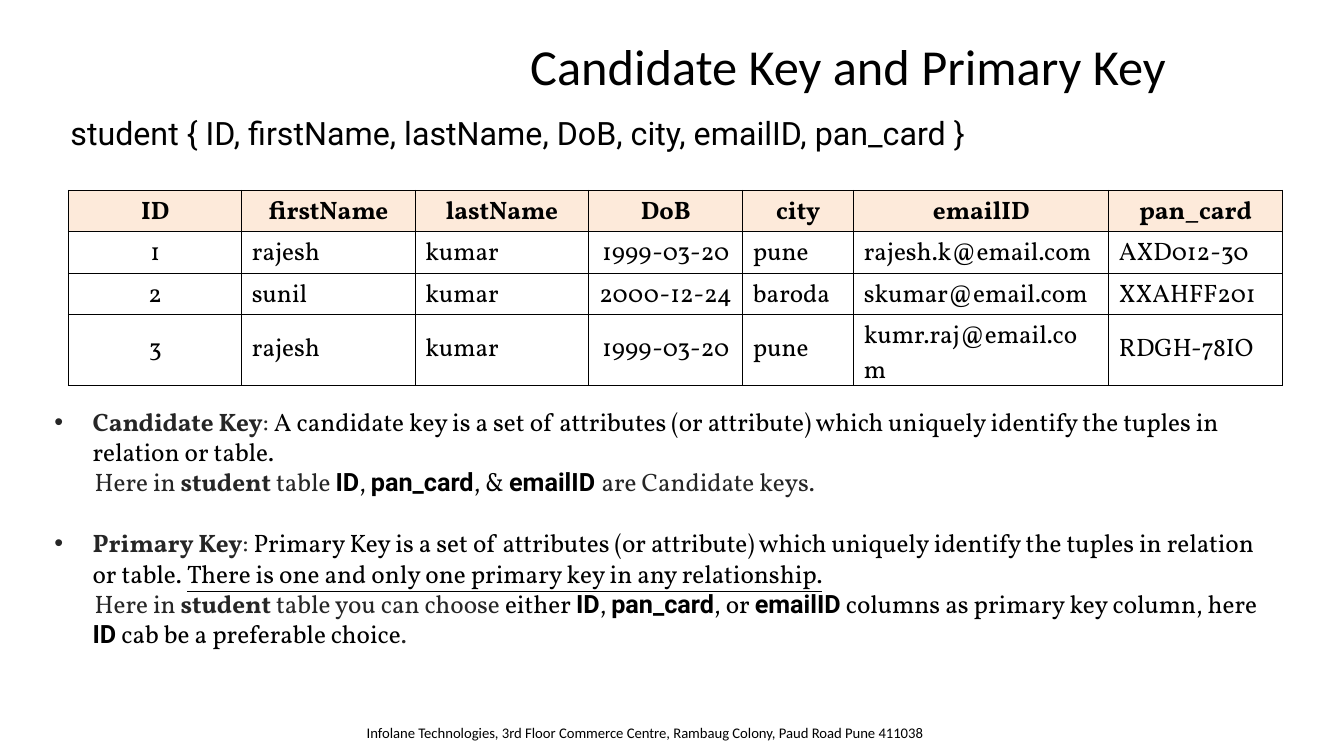
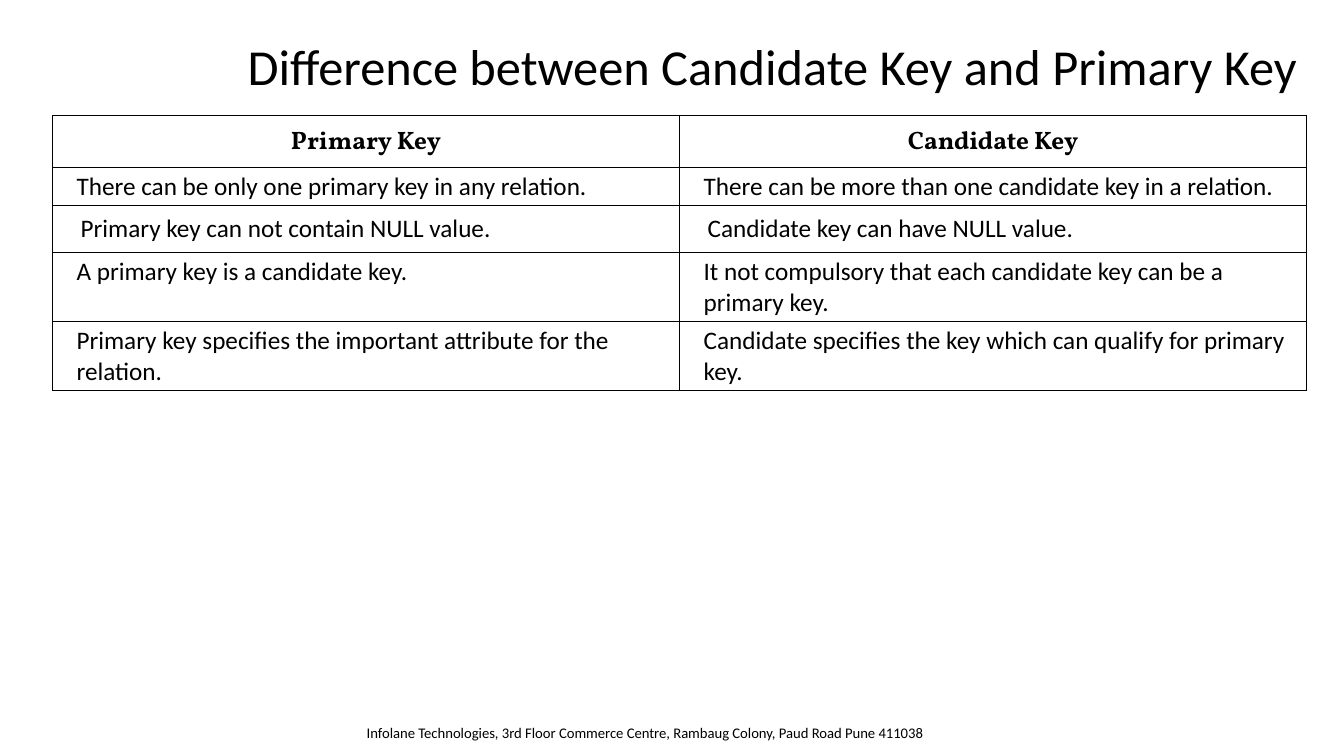
import dataclasses

import pptx
import pptx.dml.color
import pptx.enum.shapes
import pptx.enum.text
import pptx.oxml.ns
import pptx.util
from lxml import etree

ALIGN = pptx.enum.text.PP_ALIGN
ANCHOR = pptx.enum.text.MSO_ANCHOR


@dataclasses.dataclass(frozen=True)
class Theme:
    ink: str = "000000"
    soft: str = "262626"
    paper: str = "FFFFFF"
    header: str = "FDEADA"
    plain: str = "Calibri"
    serif: str = "Vollkorn"
    label: str = "Roboto"
    title_size: float = 36
    schema_size: float = 23
    body_size: float = 18
    footer_size: float = 10.5
    border: float = 1


THEME = Theme()
FOOTER = "Infolane Technologies, 3rd Floor Commerce Centre, Rambaug Colony, Paud Road Pune 411038"


def rgb(value):
    return pptx.dml.color.RGBColor.from_string(value)


def add_xml(parent, tag, **attributes):
    return etree.SubElement(parent, pptx.oxml.ns.qn(tag), attributes)


def write(para, text, font=THEME.serif, size=THEME.body_size, color=THEME.ink,
          bold=False, underline=False, align=None, spacing=None):
    if align is not None:
        para.alignment = align
    if spacing is not None:
        para.line_spacing = spacing
    span = para.add_run()
    span.text = text
    span.font.name = font
    span.font.size = pptx.util.Pt(size)
    span.font.color.rgb = rgb(color)
    span.font.bold = bold
    span.font.underline = underline


def indent(para, margin, first=0):
    properties = para._p.get_or_add_pPr()
    properties.set("marL", str(pptx.util.Inches(margin)))
    properties.set("indent", str(pptx.util.Inches(first)))
    return properties


class Board:
    def __init__(self, theme):
        self.theme = theme
        self.deck = pptx.Presentation()
        self.deck.slide_width = pptx.util.Inches(13.33)
        self.deck.slide_height = pptx.util.Inches(7.5)
        self.page = None

    def across(self, percent):
        return round(self.deck.slide_width * percent / 100)

    def down(self, percent):
        return round(self.deck.slide_height * percent / 100)

    def area(self, left, top, width, height):
        return self.across(left), self.down(top), self.across(width), self.down(height)

    def start(self, title, title_width):
        self.page = self.deck.slides.add_slide(self.deck.slide_layouts[6])
        fill = self.page.background.fill
        fill.solid()
        fill.fore_color.rgb = rgb(self.theme.paper)
        self.text(FOOTER, (26.55, 95.07, 44.33, 4.93),
                  font=self.theme.plain, size=self.theme.footer_size)
        self.title(title, title_width)

    def title(self, text, width):
        band = self.page.shapes.add_shape(
            pptx.enum.shapes.MSO_SHAPE.RECTANGLE, *self.area(12.5, 0, width, 13.47))
        band.shadow.inherit = False
        band.fill.solid()
        band.fill.fore_color.rgb = rgb(self.theme.paper)
        band.line.fill.background()
        band.text_frame.word_wrap = True
        band.text_frame.vertical_anchor = ANCHOR.TOP
        write(band.text_frame.paragraphs[0], text, font=self.theme.plain,
              size=self.theme.title_size, align=ALIGN.RIGHT, spacing=1.5)

    def frame(self, place):
        box = self.page.shapes.add_textbox(*self.area(*place))
        box.text_frame.word_wrap = True
        return box.text_frame

    def text(self, text, place, **style):
        write(self.frame(place).paragraphs[0], text, **style)

    def definitions(self, entries, place):
        frame = self.frame(place)
        for number, (meaning, example) in enumerate(entries):
            para = frame.add_paragraph() if number else frame.paragraphs[0]
            properties = indent(para, 0.38, -0.38)
            if number:
                para.space_before = pptx.util.Pt(22)
            color = add_xml(properties, "a:buClr")
            add_xml(color, "a:srgbClr", val=self.theme.soft)
            add_xml(properties, "a:buFont", typeface="Arial")
            add_xml(properties, "a:buChar", char="•")
            self.spans(para, meaning)
            para = frame.add_paragraph()
            indent(para, 0.38, 0.02)
            self.spans(para, example)

    def spans(self, para, spans):
        for text, style in spans:
            write(para, text, **style)

    def table(self, left, top, columns, rows):
        place = self.area(left, top, sum(columns), sum(rows))
        holder = self.page.shapes.add_table(len(rows), len(columns), *place)
        grid = holder.table
        grid.first_row = False
        grid.horz_banding = False
        for column, width in zip(grid.columns, columns):
            column.width = self.across(width)
        for row, height in zip(grid.rows, rows):
            row.height = self.down(height)
        return grid

    def cell(self, cell, text, fill=None, anchor=ANCHOR.MIDDLE, inset=None,
             margin=None, **style):
        cell.vertical_anchor = anchor
        if inset is not None:
            cell.margin_left = cell.margin_right = pptx.util.Inches(inset)
            cell.margin_top = cell.margin_bottom = pptx.util.Inches(inset)
        para = cell.text_frame.paragraphs[0]
        if margin is not None:
            indent(para, margin)
        write(para, text, **style)
        properties = cell._tc.get_or_add_tcPr()
        for side in ("a:lnL", "a:lnR", "a:lnT", "a:lnB"):
            line = add_xml(properties, side, w=str(pptx.util.Pt(self.theme.border)))
            add_xml(add_xml(line, "a:solidFill"), "a:srgbClr", val=self.theme.ink)
        if fill:
            cell.fill.solid()
            cell.fill.fore_color.rgb = rgb(fill)
        else:
            cell.fill.background()


INK = {}
SOFT = {"color": THEME.soft}
TERM = {"color": THEME.soft, "bold": True}
FIELD = {"font": THEME.label, "bold": True}
LINED = {"underline": True}

KEY_DEFINITIONS = [
    ([("Candidate Key", TERM), (": ", SOFT),
      ("A candidate key is a set of attributes (or attribute) which uniquely "
       "identify the tuples in relation or table.", INK)],
     [("Here in ", SOFT), ("student", TERM), (" table ", SOFT), ("ID", FIELD),
      (", ", INK), ("pan_card", FIELD), (", & ", INK), ("emailID ", FIELD),
      ("are Candidate keys.", SOFT)]),
    ([("Primary Key", TERM), (": ", SOFT),
      ("Primary Key is a set of attributes (or attribute) which uniquely "
       "identify the tuples in relation or table. ", INK),
      ("There is one and only one primary key in any relationship.", LINED)],
     [("Here in ", SOFT), ("student", TERM), (" table you can choose ", SOFT),
      ("either ", INK), ("ID", FIELD), (", ", INK), ("pan_card", FIELD),
      (", or ", INK), ("emailID", FIELD),
      (" columns as primary key column, here ", INK), ("ID", FIELD),
      (" cab be a preferable choice", INK), (".", SOFT)]),
]

STUDENTS = [
    ("ID", "firstName", "lastName", "DoB", "city", "emailID", "pan_card"),
    ("1", "rajesh", "kumar", "1999-03-20", "pune", "rajesh.k@email.com", "AXD012-30"),
    ("2", "sunil", "kumar", "2000-12-24", "baroda", "skumar@email.com", "XXAHFF201"),
    ("3", "rajesh", "kumar", "1999-03-20", "pune", "kumr.raj@email.com", "RDGH-78IO"),
]
CENTERED_FIELDS = ("ID", "DoB")

DIFFERENCES = [
    ("Primary Key", "Candidate Key"),
    ("There can be only one primary key in any relation.",
     "There can be more than one candidate key in a relation."),
    ("Primary key can not contain NULL value.", "Candidate key can have NULL value."),
    ("A primary key is a candidate key.",
     "It not compulsory that each candidate key can be a primary key."),
    ("Primary key specifies the important attribute for the relation.",
     "Candidate specifies the key which can qualify for primary key."),
]
DIFFERENCE_INSETS = (0.1, 0.04, 0.08, 0.04, 0.04)


def build_keys(board):
    theme = board.theme
    board.start("Candidate Key and Primary Key", 75)
    board.text("student { ID, firstName, lastName, DoB, city, emailID, pan_card }",
               (4.5, 14.27, 76.8, 6.67), font=theme.label, size=theme.schema_size)
    grid = board.table(5.1, 25.2, (12.9, 12.9, 12.9, 11.48, 8.25, 18.98, 12.9),
                       (5.47, 5.47, 5.47, 9.33))
    for row, record in enumerate(STUDENTS):
        header = row == 0
        for column, (field, value) in enumerate(zip(STUDENTS[0], record)):
            centered = header or field in CENTERED_FIELDS
            board.cell(grid.cell(row, column), value, bold=header,
                       fill=theme.header if header else None,
                       align=ALIGN.CENTER if centered else ALIGN.LEFT)
    board.definitions(KEY_DEFINITIONS, (3.3, 53.07, 92.72, 34.8))


def build_differences(board):
    board.start("Difference between Candidate Key and Primary Key", 84.77)
    grid = board.table(3.9, 15.33, (46.66, 46.66), (6.8, 5.1, 6.2, 9.1, 9.1))
    heading = {"anchor": ANCHOR.BOTTOM, "align": ALIGN.CENTER, "bold": True}
    statement = {"anchor": ANCHOR.TOP, "margin": 0.2, "font": board.theme.plain}
    for row, (pair, inset) in enumerate(zip(DIFFERENCES, DIFFERENCE_INSETS)):
        style = statement if row else heading
        for column, value in enumerate(pair):
            board.cell(grid.cell(row, column), value, inset=inset, **style)


def main():
    board = Board(THEME)
    build_keys(board)
    build_differences(board)
    board.deck.save("out.pptx")


if __name__ == "__main__":
    main()
